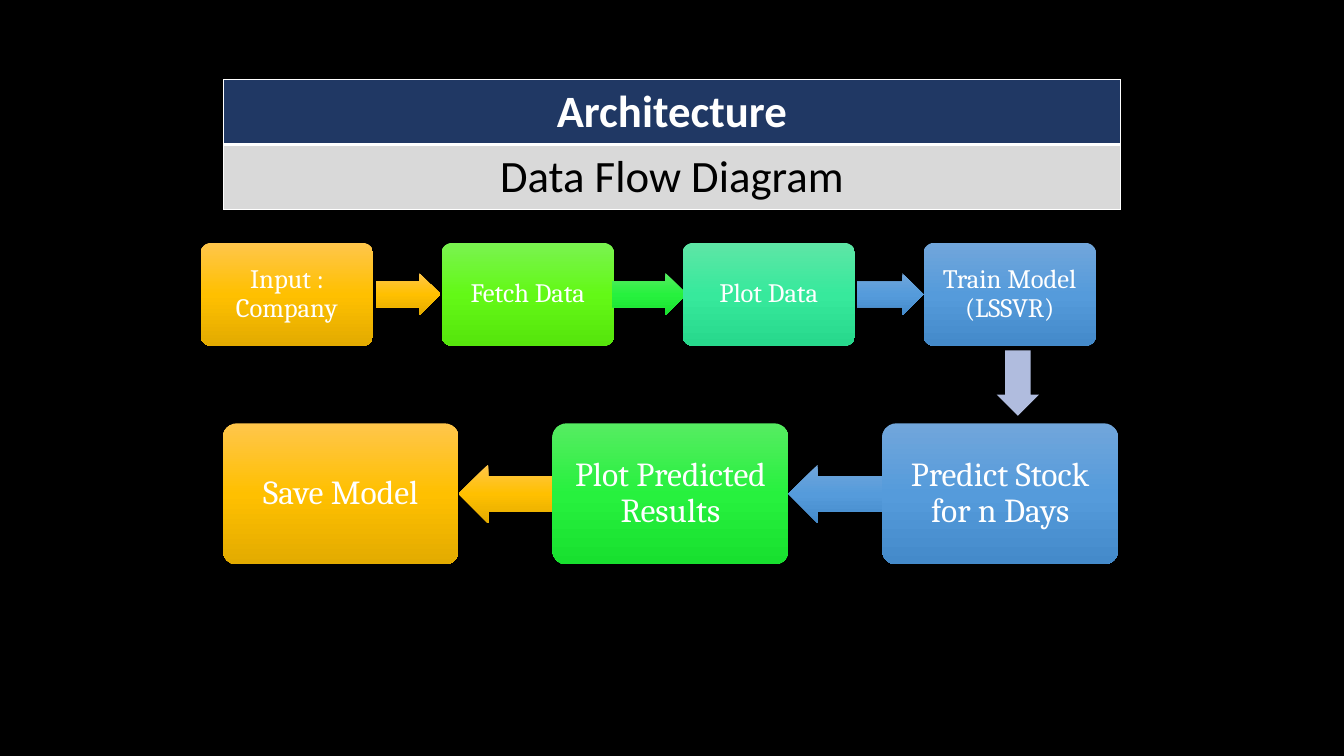
import copy
from dataclasses import dataclass

import pptx
import pptx.dml.color
import pptx.enum.shapes
import pptx.enum.text
import pptx.oxml
import pptx.oxml.ns
import pptx.util

SCALE = 9144  # 100 px to the inch
KIND = pptx.enum.shapes.MSO_SHAPE
ALIGN = pptx.enum.text.PP_ALIGN
MIDDLE = pptx.enum.text.MSO_ANCHOR.MIDDLE


@dataclass(frozen=True)
class Theme:
    back: str = "000000"
    light: str = "FFFFFF"
    dark: str = "000000"
    navy: str = "203864"
    grey: str = "D9D9D9"
    gold: tuple = ("FFC64B", "FFC000", "E3AB00")
    lime: tuple = ("7AF350", "63F916", "56E50C")
    green: tuple = ("56EC62", "27F13E", "18E02F")
    mint: tuple = ("5EE6A6", "37E99C", "27D88C")
    blue: tuple = ("71A6DB", "559BDB", "448ACA")
    pale: tuple = ("B0BCDE",)
    head: str = "Calibri"
    body: str = "Cambria"
    large: int = 32
    medium: int = 24
    small: int = 19


@dataclass(frozen=True)
class Box:
    text: str
    tint: tuple


@dataclass(frozen=True)
class Arrow:
    left: int
    width: int
    tint: tuple


@dataclass(frozen=True)
class Row:
    left: int
    top: int
    step: int
    width: int
    height: int
    inset: int
    size: int
    thick: int
    turn: int
    boxes: tuple
    arrows: tuple


THEME = Theme()
ROWS = (
    Row(199, 241, 239, 171, 102, 8, THEME.small, 42, 0,
        (Box("Input : Company", THEME.gold), Box("Fetch Data", THEME.lime),
         Box("Plot Data", THEME.mint), Box("Train Model (LSSVR)", THEME.blue)),
        (Arrow(373, 64, THEME.gold), Arrow(607, 74, THEME.green),
         Arrow(850, 66, THEME.blue))),
    Row(221, 420, 327, 234, 140, 10, THEME.medium, 58, 180,
        (Box("Save Model", THEME.gold), Box("Plot Predicted Results", THEME.green),
         Box("Predict Stock for n Days", THEME.blue)),
        (Arrow(455, 94, THEME.gold), Arrow(782, 93, THEME.blue))),
)
DOWN = Arrow(977, 65, THEME.pale)


def px(count: int) -> pptx.util.Emu:
    return pptx.util.Emu(count * SCALE)


def rgb(code: str) -> pptx.dml.color.RGBColor:
    return pptx.dml.color.RGBColor.from_string(code)


def paint(shape, tint: tuple) -> None:
    """Fill with one colour, or with three shading from top to bottom."""
    fill = shape.fill
    if len(tint) == 1:
        fill.solid()
        fill.fore_color.rgb = rgb(tint[0])
        return
    fill.gradient()
    fill.gradient_angle = 270
    grad = shape._element.spPr.find(pptx.oxml.ns.qn("a:gradFill"))
    grad.set("rotWithShape", "0")
    stops = grad[0]
    stops.append(copy.deepcopy(stops[-1]))
    for place, (stop, code) in enumerate(zip(fill.gradient_stops, tint)):
        stop.color.rgb = rgb(code)
        stop.position = place / 2


def write(para, text: str, face: str, size: int, code: str, bold: bool) -> None:
    para.text = text
    para.alignment = ALIGN.CENTER
    style = {"name": face, "size": pptx.util.Pt(size), "bold": bold}
    for key, value in style.items():
        setattr(para.font, key, value)
    para.font.color.rgb = rgb(code)


def add_form(slide, kind, area: tuple, tint: tuple):
    shape = slide.shapes.add_shape(kind, *map(px, area))
    shape.shadow.inherit = False
    shape.line.fill.background()
    paint(shape, tint)
    return shape


def add_box(slide, box: Box, row: Row, left: int) -> None:
    area = (left, row.top, row.width, row.height)
    shape = add_form(slide, KIND.ROUNDED_RECTANGLE, area, box.tint)
    shape.adjustments[0] = 0.1
    frame = shape.text_frame
    style = {"word_wrap": True, "vertical_anchor": MIDDLE}
    for side in ("left", "top", "right", "bottom"):
        style[f"margin_{side}"] = px(row.inset)
    for key, value in style.items():
        setattr(frame, key, value)
    para = frame.paragraphs[0]
    write(para, box.text, THEME.body, row.size, THEME.light, False)
    para.line_spacing = 0.9


def add_arrow(slide, arrow: Arrow, top: int, thick: int, turn: int) -> None:
    area = (arrow.left, top, arrow.width, thick)
    shape = add_form(slide, KIND.RIGHT_ARROW, area, arrow.tint)
    shape.adjustments[0] = 0.6
    shape.adjustments[1] = 0.5
    shape.rotation = turn


def add_row(slide, row: Row) -> None:
    level = row.top + (row.height - row.thick) // 2
    for place, box in enumerate(row.boxes):
        add_box(slide, box, row, row.left + place * row.step)
        for arrow in row.arrows[place:place + 1]:
            add_arrow(slide, arrow, level, row.thick, row.turn)


def edge(cell, widths: dict) -> None:
    """Draw the cell's borders, each side with its width in points."""
    props = cell._tc.get_or_add_tcPr()
    space = pptx.oxml.ns.nsdecls("a")
    for place, (side, width) in enumerate(widths.items()):
        props.insert(place, pptx.oxml.parse_xml(
            f'<a:ln{side} {space} w="{pptx.util.Pt(width)}"><a:solidFill>'
            f'<a:srgbClr val="{THEME.light}"/></a:solidFill></a:ln{side}>'))


def add_head(slide) -> None:
    table = slide.shapes.add_table(2, 1, *map(px, (222, 79, 889, 128))).table
    lines = (
        ("Architecture", THEME.navy, THEME.light, True, {"T": 1, "B": 3}),
        ("Data Flow Diagram", THEME.grey, THEME.dark, False, {"T": 3, "B": 1}),
    )
    for cell, (text, back, ink, bold, rims) in zip(table.iter_cells(), lines):
        cell.fill.solid()
        cell.fill.fore_color.rgb = rgb(back)
        write(cell.text_frame.paragraphs[0], text, THEME.head, THEME.large, ink, bold)
        edge(cell, {"L": 1, "R": 1, **rims})


def main() -> None:
    deck = pptx.Presentation()
    deck.slide_width, deck.slide_height = px(1333), px(750)
    slide = deck.slides.add_slide(deck.slide_layouts[6])
    slide.background.fill.solid()
    slide.background.fill.fore_color.rgb = rgb(THEME.back)
    first, last = ROWS
    add_row(slide, first)
    add_arrow(slide, DOWN, 359, first.thick, 90)
    add_row(slide, last)
    add_head(slide)
    deck.save("out.pptx")


if __name__ == "__main__":
    main()
